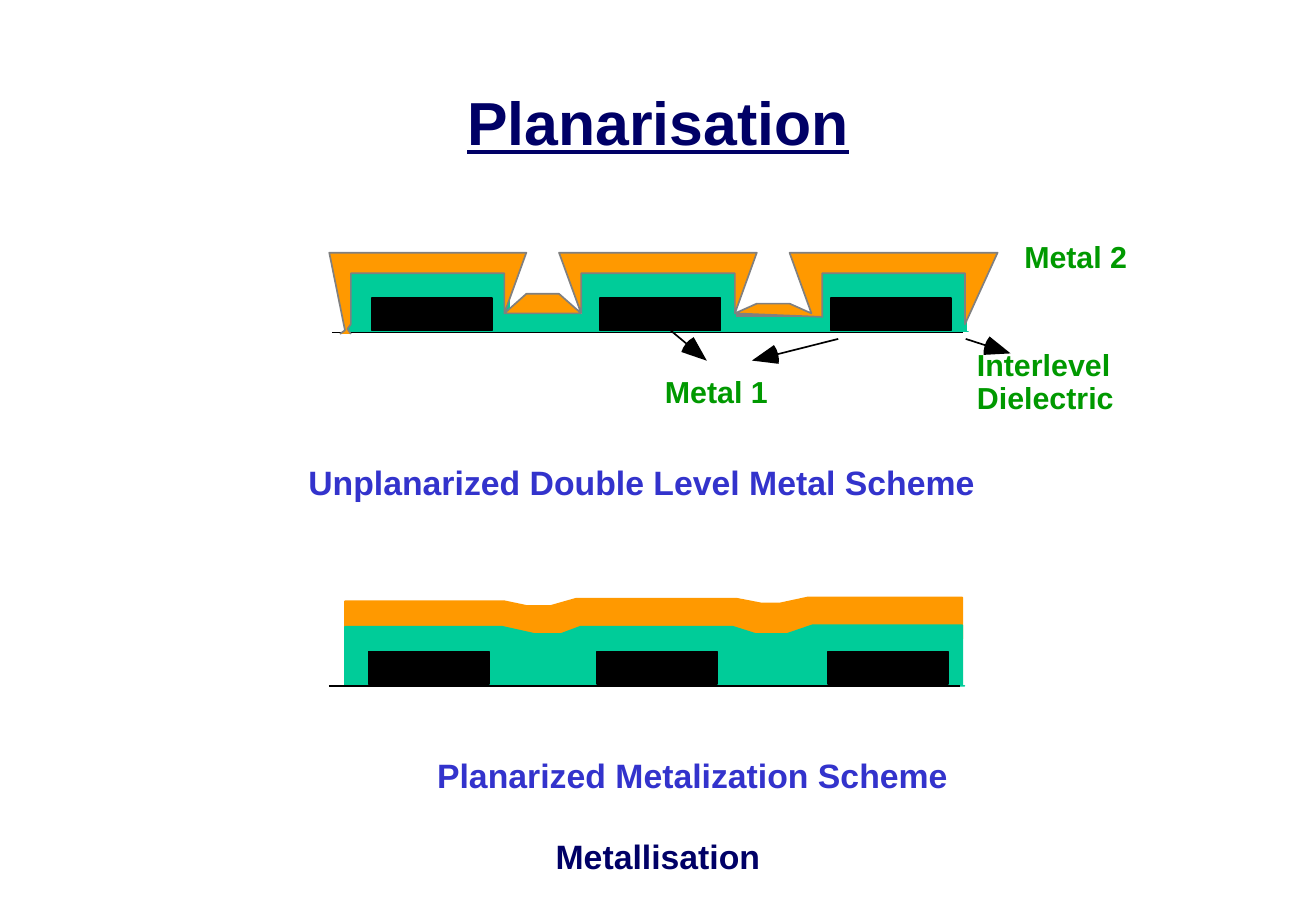
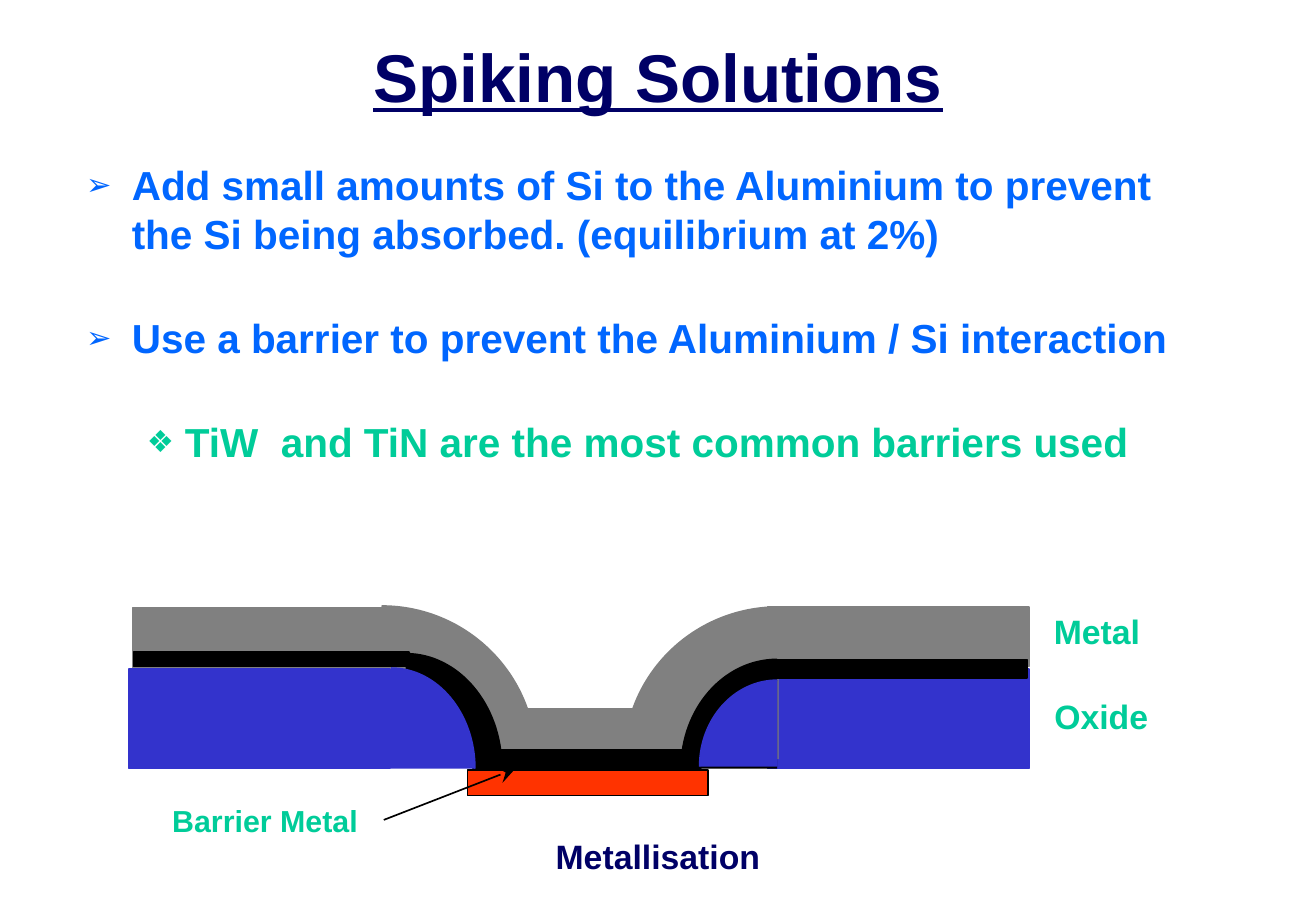
from copy import deepcopy
from math import atan2, cos, radians, sin

from lxml import etree
from pptx import Presentation
from pptx.dml.color import RGBColor
from pptx.enum.shapes import MSO_CONNECTOR as CONN, MSO_SHAPE as SHAPE
from pptx.enum.text import MSO_ANCHOR as ANCHOR, PP_ALIGN as ALIGN
from pptx.oxml.ns import qn
from pptx.util import Pt

FONT = "Arial"
HUES = {
    "navy": "000066", "label": "009900", "indigo": "3333CC", "blue": "0066FF",
    "green": "00CC99", "orange": "FF9900", "grey": "808080", "black": "000000",
    "red": "FF3300", "white": "FFFFFF",
}
TITLE = {"hue": "navy", "align": ALIGN.CENTER, "line": True, "wrap": True}
FOOT = ("Metallisation", (266.5, 492, 247, 36), 20)
BEND = 0.5523  # Bezier handle length for a quarter ellipse

# Slide 1: (text, box, size, hue)
PLAN_TEXT = [
    ("Metal 2", (600, 137.5, 75.5, 29), 18, "label"),
    ("Metal 1", (387, 217.5, 75.5, 29), 18, "label"),
    ("Interlevel", (572, 201.6, 93.6, 50.4), 18, "label"),
    ("Dielectric", (572, 221, 95.8, 29), 18, "label"),
    ("Unplanarized Double Level Metal Scheme", (175.7, 270, 448.6, 31), 20, "indigo"),
]
FLAT_TEXT = ("Planarized Metalization Scheme", (252, 443.7, 317.5, 31), 20, "indigo")
STEP_OXIDE = [
    (206, 196.6), (206, 162.7), (301.7, 162.7), (301.7, 186.5), (345.2, 186.5),
    (345.2, 161.3), (435.6, 161.3), (435.6, 188.7), (483, 188.7), (483, 160.6),
    (572.4, 160.6), (572.4, 196.6), (573.8, 196.6), (572.4, 196.6),
]
STEP_METAL = [
    (201.6, 198), (204.5, 195.8), (195.2, 149.8), (312, 149.8), (299, 185.8),
    (312, 174.2), (331.4, 174.2), (344.5, 185.8), (331.4, 149.8), (448.6, 149.8),
    (435.6, 185.8), (448.6, 180), (468, 180), (481, 185.8), (468, 149.8),
    (591.3, 149.8), (572, 192.2), (572, 162), (487.4, 162), (487.4, 185.8),
    (487.4, 187.9), (435.6, 185.8), (435.6, 162), (344.5, 162), (344.5, 185.8),
    (299, 185.8), (299, 162), (208, 162), (208, 192.2), (206, 195), (208, 198),
]
FLAT_METAL = [
    (204.5, 378.7), (204.5, 356.4), (298.8, 356.4), (312.5, 359.3), (326.2, 359.3),
    (341.3, 355), (437, 355), (451.4, 357.8), (462.2, 357.8), (478.8, 354.2),
    (570.4, 354.2), (570.4, 378.7),
]
FLAT_OXIDE = [
    (204.5, 406.6), (204.5, 371.5), (297.4, 371.5), (316.8, 375.8), (332.6, 375.8),
    (344.2, 371.5), (434.2, 371.5), (447.8, 375.8), (466.6, 375.8), (481.7, 370.6),
    (570.4, 370.6), (570.4, 406.6), (571.7, 406.6), (570.4, 406.6),
]
BARS = (220.3, 355.7, 492.5)
POINTERS = [  # (start, tip)
    ((397.4, 195.8), (419, 213.8)),
    ((496.8, 200.9), (445.7, 213.8)),
    ((572.4, 200.9), (599, 209.5)),
]

# Slide 2: (text, level, hue, mark, indent, hang, line spacing)
POINTS = [
    ("Add small amounts of Si to the Aluminium to prevent the Si being absorbed. "
     "(equilibrium at 2%)", 0, "blue", "➢", 27, 27, 1.0),
    ("Use a barrier to prevent the Aluminium / Si interaction",
     0, "blue", "➢", 27, 27, 0.9),
    ("TiW  and TiN are the most common barriers used",
     1, "green", "❖", 58.5, 22.5, 0.9),
]
SPIKE_TEXT = [
    ("Metal", (617.5, 358.2, 65.5, 31), 20, "green"),
    ("Oxide", (617.8, 408.6, 70.5, 31), 20, "green"),
    ("Barrier Metal", (95, 472, 124.6, 29), 18, "green"),
]
# Back to front. rect: left, top, width, height; quarter: centre, signed radii
STACK = [
    ("rect", "indigo", (455, 396.6, 154.9, 59), "indigo"),
    ("quarter", "grey", (461.5, 450, -91.4, 90.2), "grey"),
    ("rect", "grey", (282.2, 419.8, 129.6, 32.4), None),
    ("rect", "grey", (455, 359.8, 154.9, 35.3), "grey"),
    ("quarter", "grey", (226.2, 450, 91.4, 90.8), "grey"),
    ("rect", "grey", (78.6, 360.4, 148.3, 35.3), "grey"),
    ("rect", "indigo", (76.3, 396.6, 154.8, 59), "indigo"),
    ("rect", "black", (280, 444.4, 135.4, 11), "black"),
    ("quarter", "black", (240.5, 455.2, 56.9, 67.7), "black"),
    ("rect", "black", (459.4, 391, 149.2, 10.8), "black"),
    ("rect", "black", (79.2, 386.6, 163.4, 8.6), "black"),
    ("quarter", "indigo", (231.8, 455.6, 49.7, 59.6), "indigo"),
    ("quarter", "black", (460.6, 455.6, -56.9, 64.7), "black"),
    ("quarter", "indigo", (460.8, 454.4, -46.1, 51.2), "indigo"),
    ("rect", "red", (277, 456.5, 142.6, 15.1), "black"),
]


def rgb(hue):
    return RGBColor.from_string(HUES[hue])


def write(para, text, size, hue, line=False):
    run = para.add_run()
    run.text = text
    look = {"name": FONT, "size": Pt(size), "bold": True, "underline": line}
    for key, val in look.items():
        setattr(run.font, key, val)
    run.font.color.rgb = rgb(hue)


def fill_text(shape, text, size, hue, align=ALIGN.LEFT, line=False, wrap=False,
              anchor=ANCHOR.TOP):
    tf = shape.text_frame
    tf.word_wrap = wrap
    tf.vertical_anchor = anchor
    tf.paragraphs[0].alignment = align
    write(tf.paragraphs[0], text, size, hue, line)


def label(slide, text, box, size, hue, **form):
    fill_text(slide.shapes.add_textbox(*map(Pt, box)), text, size, hue, **form)


def paint(shape, fill, edge):
    shape.shadow.inherit = False
    shape.fill.solid()
    shape.fill.fore_color.rgb = rgb(fill)
    if edge:
        shape.line.color.rgb = rgb(edge)
        shape.line.width = Pt(1)
    else:
        shape.line.fill.background()


def rect(slide, box, fill, edge):
    shape = slide.shapes.add_shape(SHAPE.RECTANGLE, *map(Pt, box))
    paint(shape, fill, edge)
    return shape


def poly(slide, pts, fill, edge=None, close=True):
    first, *rest = [(Pt(x), Pt(y)) for x, y in pts]
    form = slide.shapes.build_freeform(*first, scale=1.0)
    form.add_line_segments(rest, close=close)
    shape = form.convert_to_shape()
    paint(shape, fill, edge)
    return shape


def sector(slide, pts, fill, edge=None):
    """Fill from a curve (end, two handles, end) to a point; stroke the curve only."""
    shape = poly(slide, pts, fill, edge)
    body = shape._element.find(".//" + qn("a:path"))
    curve = etree.Element(qn("a:cubicBezTo"))
    for leg in body.findall(qn("a:lnTo"))[:3]:
        curve.append(leg[0])
        body.remove(leg)
    body.insert(1, curve)
    rim = deepcopy(body)
    for part in rim[2:]:
        rim.remove(part)
    rim.set("fill", "none")
    body.set("stroke", "0")
    body.addprevious(rim)


def quarter(slide, box, fill, edge):
    """Draw a quarter ellipse about its centre; a negative radius faces left."""
    x, y, rx, ry = box
    turns = [(1, 0), (1, BEND), (BEND, 1), (0, 1), (0, 0)]
    sector(slide, [(x + rx * u, y - ry * v) for u, v in turns], fill, edge)


def rule(slide, start, end, head=None):
    wire = slide.shapes.add_connector(CONN.STRAIGHT, *map(Pt, (*start, *end)))
    wire.line.color.rgb = rgb("black")
    wire.line.width = Pt(1)
    if head:
        etree.SubElement(wire.line._get_or_add_ln(), qn("a:tailEnd"),
                         type=head, w="lg", len="lg")
    etree.SubElement(wire._element.spPr, qn("a:effectLst"))


def pointer(slide, start, tip):
    """Draw a line that ends in a large round-backed wedge."""
    back = atan2(start[1] - tip[1], start[0] - tip[0])

    def spot(size, turn=0):
        way = back + radians(turn)
        return tip[0] + size * cos(way), tip[1] + size * sin(way)

    sector(slide, [spot(16, -21), spot(16.5, -7), spot(16.5, 7), spot(16, 21), tip],
           "black")
    rule(slide, start, spot(7))


def bullet(para, mark, hue, indent, hang):
    props = para._p.get_or_add_pPr()
    props.set("marL", str(Pt(indent)))
    props.set("indent", str(-Pt(hang)))
    tint = etree.SubElement(props, qn("a:buClr"))
    etree.SubElement(tint, qn("a:srgbClr"), val=HUES[hue])
    etree.SubElement(props, qn("a:buSzPct"), val="75000")
    etree.SubElement(props, qn("a:buFont"), typeface=FONT)
    etree.SubElement(props, qn("a:buChar"), char=mark)


def start(deck, title, box, size):
    slide = deck.slides.add_slide(deck.slide_layouts[6])
    label(slide, *FOOT, "navy", align=ALIGN.CENTER, wrap=True)
    label(slide, title, box, size, anchor=ANCHOR.MIDDLE, **TITLE)
    return slide


def base(slide, dx=0, dy=0):
    """Draw the substrate line and its three metal bars."""
    rule(slide, (196.7 + dx, 197.1 + dy), (571 + dx, 197.1 + dy))
    for x in BARS:
        rect(slide, (x + dx, 176.5 + dy, 71.3, 19.4), "black", "black")


def planar(deck):
    slide = start(deck, "Planarisation", (32.5, 26.8, 715, 90), 36)
    rect(slide, (435.6, 186.5, 51, 5), "grey", "grey")
    poly(slide, STEP_OXIDE, "green", "green")
    base(slide)
    for item in PLAN_TEXT:
        label(slide, *item)
    for ends in POINTERS:
        pointer(slide, *ends)
    poly(slide, FLAT_METAL, "orange", "orange")
    poly(slide, FLAT_OXIDE, "green", "green")
    base(slide, -1.8, 209.7)
    text, box, *look = FLAT_TEXT
    fill_text(rect(slide, box, "white", None), text, *look)
    poly(slide, STEP_METAL, "orange", "grey", close=False)


def spiking(deck):
    slide = start(deck, "Spiking Solutions", (58.8, 0, 662.5, 90), 40)
    tf = slide.shapes.add_textbox(*map(Pt, (44, 91.5, 680.5, 270))).text_frame
    tf.word_wrap = True
    for i, (text, level, hue, mark, indent, hang, lead) in enumerate(POINTS):
        para = tf.add_paragraph() if i else tf.paragraphs[0]
        bullet(para, mark, hue, indent, hang)
        form = {"level": level, "line_spacing": lead, "space_after": Pt(30),
                "space_before": Pt(6 if i else 0)}
        for key, val in form.items():
            setattr(para, key, val)
        write(para, text, 24, hue)
    draw = {"rect": rect, "quarter": quarter}
    for kind, fill, box, edge in STACK:
        draw[kind](slide, box, fill, edge)
    rule(slide, (227.5, 486), (305.3, 455.8), "stealth")
    for item in SPIKE_TEXT:
        label(slide, *item)


def main():
    deck = Presentation()
    deck.slide_width, deck.slide_height = Pt(780), Pt(540)
    planar(deck)
    spiking(deck)
    deck.save("out.pptx")


if __name__ == "__main__":
    main()
